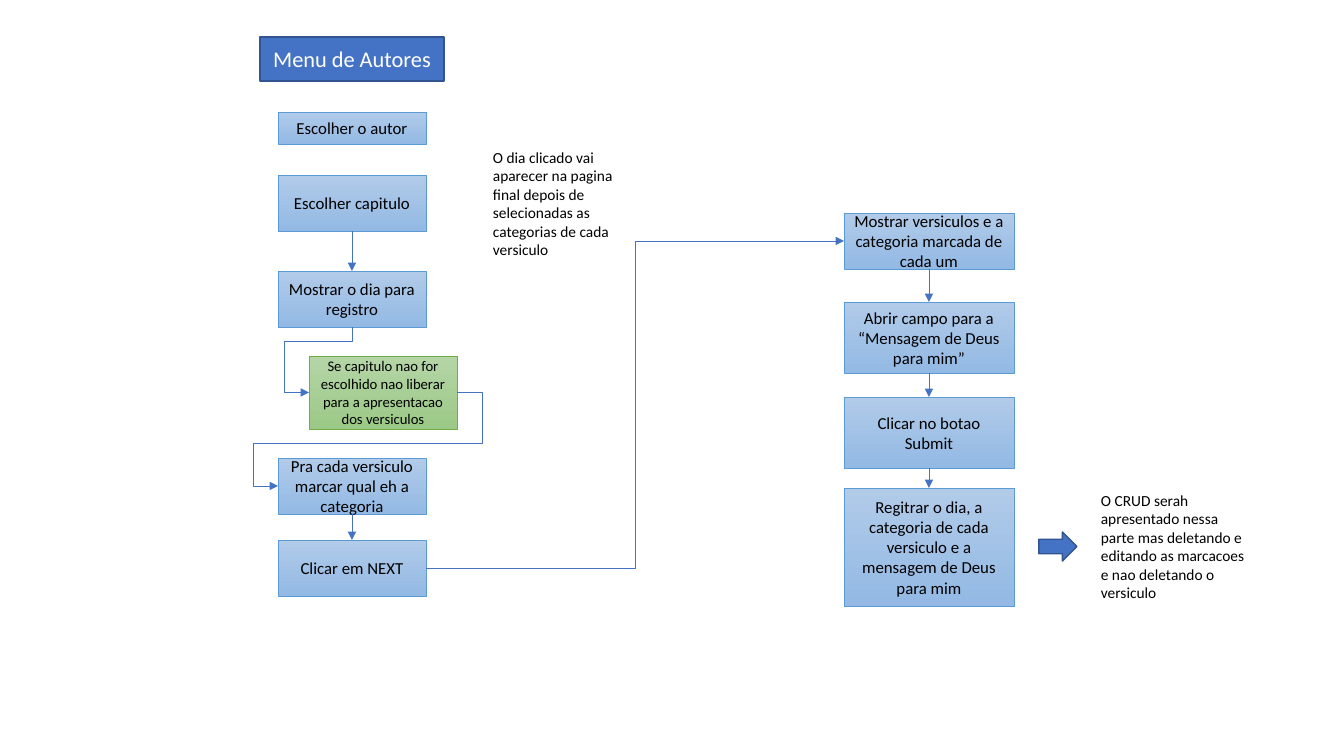
from dataclasses import dataclass

from lxml import etree
from pptx import Presentation
from pptx import util as u
from pptx.dml import color
from pptx.enum import shapes, text
from pptx.oxml import ns

EMU_PER_PIXEL = 914400 / 100.8
TOP, LEFT, BOTTOM, RIGHT = range(4)


@dataclass(frozen=True)
class Theme:
    """Colours and type sizes of the slide."""
    font: str = "Calibri"
    black: str = "000000"
    white: str = "FFFFFF"
    accent: str = "4472C4"
    accent_edge: str = "325491"
    step: tuple = ("B1CBE9", "93B9E4")
    step_edge: str = "5B9BD5"
    rule: tuple = ("B5D5A7", "9CC987")
    rule_edge: str = "70AD47"
    title_size: float = 16
    step_size: float = 12
    note_size: float = 11
    rule_size: float = 10.5
    thick: float = 1
    thin: float = 0.5


@dataclass(frozen=True)
class Box:
    """A region in pixels."""
    left: int
    top: int
    width: int
    height: int

    def inside(self, x, y, width, height):
        """Return a box placed relative to this one."""
        return Box(self.left + x, self.top + y, width, height)

    def emu(self):
        """Return left, top, width and height in EMU."""
        return [pixels(n) for n in (self.left, self.top, self.width, self.height)]


THEME = Theme()


def pixels(count):
    """Turn pixels into EMU."""
    return u.Emu(round(count * EMU_PER_PIXEL))


def rgb(value):
    """Turn a hex string into a colour."""
    return color.RGBColor.from_string(value)


def write(shape, wording, size, ink, align):
    """Fill a shape with one formatted paragraph."""
    shape.text_frame.text = wording
    shape.text_frame.word_wrap = True
    paragraph = shape.text_frame.paragraphs[0]
    paragraph.alignment = align
    for run in paragraph.runs:
        run.font.name, run.font.size = THEME.font, u.Pt(size)
        run.font.color.rgb = rgb(ink)


def draw_shape(slide, box, kind, fills, edge, weight):
    """Add a preset shape with a plain or two-colour fill."""
    shape = slide.shapes.add_shape(kind, *box.emu())
    shape.shadow.inherit = False
    if len(fills) == 1:
        shape.fill.solid()
        shape.fill.fore_color.rgb = rgb(fills[0])
    else:
        shape.fill.gradient()
        shape.fill.gradient_angle = 270
        for stop, value in zip(shape.fill.gradient_stops, fills):
            stop.color.rgb = rgb(value)
    shape.line.color.rgb = rgb(edge)
    shape.line.width = u.Pt(weight)
    return shape


def draw_block(slide, box, wording, fills=THEME.step, edge=THEME.step_edge,
               size=THEME.step_size, ink=THEME.black, weight=THEME.thin):
    """Add a rectangle with centred wording."""
    shape = draw_shape(slide, box, shapes.MSO_SHAPE.RECTANGLE, fills, edge, weight)
    shape.text_frame.vertical_anchor = text.MSO_ANCHOR.MIDDLE
    write(shape, wording, size, ink, text.PP_ALIGN.CENTER)
    return shape


def draw_steps(slide, box, steps):
    """Stack step blocks given as offset, height and wording."""
    return [draw_block(slide, box.inside(0, y, box.width, height), wording)
            for y, height, wording in steps]


def draw_note(slide, box, wording):
    """Add a free note."""
    note = slide.shapes.add_textbox(*box.emu())
    write(note, wording, THEME.note_size, THEME.black, text.PP_ALIGN.LEFT)
    note.text_frame.auto_size = text.MSO_AUTO_SIZE.SHAPE_TO_FIT_TEXT


def site_point(shape, site):
    """Return the point of a rectangle's connection site."""
    middle = shape.left + shape.width // 2, shape.top + shape.height // 2
    return {TOP: (middle[0], shape.top),
            LEFT: (shape.left, middle[1]),
            BOTTOM: (middle[0], shape.top + shape.height),
            RIGHT: (shape.left + shape.width, middle[1])}[site]


def connect(slide, start, start_site, end, end_site, bends=None, turned=False):
    """Join two blocks with an arrow, bent at the given fractions."""
    kind = shapes.MSO_CONNECTOR.STRAIGHT if bends is None else shapes.MSO_CONNECTOR.ELBOW
    connector = slide.shapes.add_connector(
        kind, *site_point(start, start_site), *site_point(end, end_site))
    connector.begin_connect(start, start_site)
    connector.end_connect(end, end_site)
    connector.line.color.rgb = rgb(THEME.accent)
    connector.line.width = u.Pt(THEME.thin)
    properties = connector._element.spPr
    etree.SubElement(connector.line._get_or_add_ln(), ns.qn("a:tailEnd"), type="triangle")
    etree.SubElement(properties, ns.qn("a:effectLst"))
    if bends:
        geometry = properties.find(ns.qn("a:prstGeom"))
        geometry.set("prst", f"bentConnector{len(bends) + 2}")
        guides = geometry.find(ns.qn("a:avLst"))
        for number, bend in enumerate(bends, 1):
            etree.SubElement(guides, ns.qn("a:gd"), name=f"adj{number}",
                             fmla=f"val {round(bend * 100000)}")
    if turned:
        width, height = connector.width, connector.height
        connector.left += (width - height) // 2
        connector.top += (height - width) // 2
        connector.width, connector.height = height, width
        frame = properties.find(ns.qn("a:xfrm"))
        frame.attrib.pop("flipH", None)
        frame.set("rot", str(90 * 60000))


def draw_title(slide, box):
    """Add the menu heading."""
    draw_block(slide, box, "Menu de Autores", (THEME.accent,), THEME.accent_edge,
               THEME.title_size, THEME.white, THEME.thick)


def draw_choice_flow(slide, box):
    """Draw the chapter and category steps and return the last one."""
    author, chapter, day, category, following = draw_steps(slide, box, [
        (0, 32, "Escolher o autor"),
        (63, 56, "Escolher capitulo"),
        (159, 56, "Mostrar o dia para registro"),
        (346, 56, "Pra cada versiculo marcar qual eh a categoria"),
        (428, 56, "Clicar em NEXT")])
    rule = draw_block(
        slide, box.inside(31, 244, box.width, 73),
        "Se capitulo nao for escolhido nao liberar para a apresentacao dos versiculos",
        THEME.rule, THEME.rule_edge, THEME.rule_size)
    draw_note(slide, box.inside(205, 31, 165, 122),
              "O dia clicado vai aparecer na pagina final depois de selecionadas "
              "as categorias de cada versiculo")
    connect(slide, chapter, BOTTOM, day, TOP)
    connect(slide, day, BOTTOM, rule, LEFT, (0.22, 1.58), turned=True)
    connect(slide, rule, RIGHT, category, LEFT, (-0.14, 0.54, 1.14))
    connect(slide, category, BOTTOM, following, TOP)
    return following


def draw_record_flow(slide, box):
    """Draw the recording steps and return the first one."""
    steps = draw_steps(slide, box, [
        (0, 56, "Mostrar versiculos e a categoria marcada de cada um"),
        (89, 71, "Abrir campo para a “Mensagem de Deus para mim”"),
        (184, 71, "Clicar no botao Submit"),
        (275, 118, "Regitrar o dia, a categoria de cada versiculo e a mensagem de Deus para mim")])
    for upper, lower in zip(steps, steps[1:]):
        connect(slide, upper, BOTTOM, lower, TOP)
    draw_shape(slide, box.inside(195, 319, 38, 29), shapes.MSO_SHAPE.RIGHT_ARROW,
               (THEME.accent,), THEME.accent_edge, THEME.thick)
    draw_note(slide, box.inside(247, 273, 165, 122),
              "O CRUD serah apresentado nessa parte mas deletando e editando "
              "as marcacoes e nao deletando o versiculo")
    return steps[0]


def draw_authors_slide(presentation):
    """Build the authors menu flowchart."""
    slide = presentation.slides.add_slide(presentation.slide_layouts[6])
    draw_title(slide, Box(260, 37, 184, 44))
    following = draw_choice_flow(slide, Box(278, 112, 148, 484))
    verses = draw_record_flow(slide, Box(844, 213, 170, 393))
    connect(slide, following, RIGHT, verses, LEFT, (0.5,))


presentation = Presentation()
presentation.slide_width, presentation.slide_height = pixels(1344), pixels(756)
draw_authors_slide(presentation)
presentation.save("out.pptx")
